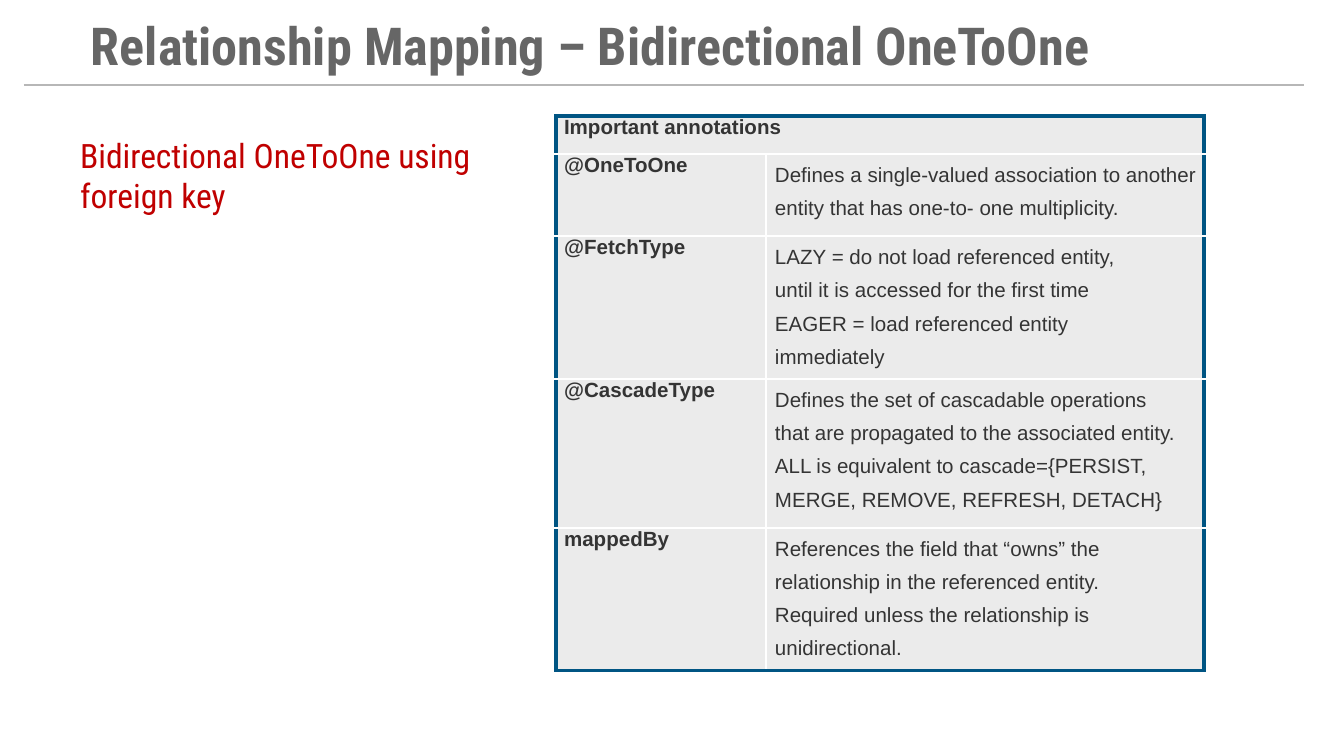
from dataclasses import dataclass

from lxml.etree import SubElement
from pptx import Presentation
from pptx.dml.color import RGBColor
from pptx.enum.shapes import MSO_CONNECTOR
from pptx.enum.text import MSO_ANCHOR
from pptx.oxml import parse_xml
from pptx.oxml.ns import nsdecls, qn
from pptx.util import Emu, Pt


@dataclass(frozen=True)
class Theme:
    heading_font: str = "Roboto Condensed"
    body_font: str = "Arial"
    title_size: int = 28
    subtitle_size: int = 18
    table_size: int = 11
    title: str = "666666"
    subtitle: str = "C00000"
    table_text: str = "343434"
    rule: str = "B7B7B7"
    cell_fill: str = "EBEBEB"
    frame: str = "005583"
    grid: str = "FFFFFF"


THEME = Theme()
EMU_PER_PX = 914400 / 134.4
HEADER = "Important annotations"
COL_WIDTHS = [210, 438]
ROW_HEIGHTS = [38, 82, 126, 149, 122]
ANNOTATIONS = [
    ("@OneToOne", 0, [
        "Defines a single-valued association to another entity that has "
        "one-to- one multiplicity."]),
    ("@FetchType", 70, [
        "LAZY = do not load referenced entity, until it is accessed for the first time",
        "EAGER = load referenced entity immediately"]),
    ("@CascadeType", 25, [
        "Defines the set of cascadable operations that are propagated to the "
        "associated entity. ALL is equivalent to cascade={PERSIST, MERGE, REMOVE, "
        "REFRESH, DETACH}"]),
    ("mappedBy", 60, [
        "References the field that “owns” the relationship in the referenced entity. "
        "Required unless the relationship is unidirectional."]),
]


def px(n):
    return Emu(round(n * EMU_PER_PX))


def apply(obj, **values):
    for name, value in values.items():
        setattr(obj, name, value)


def add_run(p, text, font, size, color, bold=False):
    r = p.add_run()
    r.text = text
    apply(r.font, name=font, size=Pt(size), bold=bold)
    r.font.color.rgb = RGBColor.from_string(color)


def add_text(s, box, text, inset, anchor, **style):
    tf = s.shapes.add_textbox(*map(px, box)).text_frame
    apply(tf, word_wrap=True, vertical_anchor=anchor, margin_left=px(13),
          margin_right=px(13), margin_top=px(inset), margin_bottom=px(inset))
    add_run(tf.paragraphs[0], text, **style)


def add_rule(s, x1, x2, y):
    line = s.shapes.add_connector(MSO_CONNECTOR.STRAIGHT, px(x1), px(y), px(x2), px(y))
    line.line.width = Pt(0.75)
    line.line.color.rgb = RGBColor.from_string(THEME.rule)
    SubElement(line._element.spPr, qn("a:effectLst"))


def set_borders(cell, framed):
    tcPr = cell._tc.get_or_add_tcPr()
    for i, side in enumerate("LRTB"):
        color, width = (THEME.frame, 2) if side in framed else (THEME.grid, 1)
        tcPr.insert(i, parse_xml(
            f'<a:ln{side} {nsdecls("a")} w="{Pt(width)}"><a:solidFill>'
            f'<a:srgbClr val="{color}"/></a:solidFill></a:ln{side}>'))


def fill_cell(cell, texts, bold, spacing, hang, margin_right=0):
    apply(cell, margin_left=0, margin_top=0, margin_bottom=0,
          margin_right=px(margin_right))
    tf = cell.text_frame
    for i, text in enumerate(texts):
        p = tf.add_paragraph() if i else tf.paragraphs[0]
        p.line_spacing = spacing
        pPr = p._p.get_or_add_pPr()
        pPr.set("marL", str(px(9)))
        pPr.set("indent", str(px(-hang)))
        add_run(p, text, THEME.body_font, THEME.table_size, THEME.table_text, bold)


def add_annotation_table(s, x, y):
    rows, cols = len(ROW_HEIGHTS), len(COL_WIDTHS)
    tbl = s.shapes.add_table(rows, cols, px(x), px(y), px(sum(COL_WIDTHS)),
                             px(sum(ROW_HEIGHTS))).table
    apply(tbl, first_row=False, horz_banding=False)
    for col, width in zip(tbl.columns, COL_WIDTHS):
        col.width = px(width)
    for row, height in zip(tbl.rows, ROW_HEIGHTS):
        row.height = px(height)

    tbl.cell(0, 0).merge(tbl.cell(0, cols - 1))
    label = dict(bold=True, spacing=1.0, hang=1)
    fill_cell(tbl.cell(0, 0), [HEADER], **label)
    for i, (name, margin, texts) in enumerate(ANNOTATIONS, 1):
        fill_cell(tbl.cell(i, 0), [name], **label)
        fill_cell(tbl.cell(i, 1), texts, False, 1.45, 0, margin)

    for i in range(rows):
        for j in range(cols):
            cell = tbl.cell(i, j)
            cell.fill.solid()
            cell.fill.fore_color.rgb = RGBColor.from_string(THEME.cell_fill)
            edges = {"L": i == 0 or j == 0, "R": i == 0 or j == cols - 1,
                     "T": i == 0, "B": i == rows - 1}
            set_borders(cell, {side for side, on in edges.items() if on})


def main():
    prs = Presentation()
    apply(prs, slide_width=px(1344), slide_height=px(756))
    s = prs.slides.add_slide(prs.slide_layouts[6])
    add_rule(s, 24, 1304, 85)
    add_text(s, (67, 128, 457, 95), "Bidirectional OneToOne using foreign key", 7,
             MSO_ANCHOR.TOP, font=THEME.heading_font, size=THEME.subtitle_size,
             color=THEME.subtitle)
    add_text(s, (78, 11, 1266, 67), "Relationship Mapping – Bidirectional OneToOne", 13,
             MSO_ANCHOR.MIDDLE, font=THEME.heading_font, size=THEME.title_size,
             color=THEME.title, bold=True)
    add_annotation_table(s, 556, 116)
    prs.save("out.pptx")


main()
